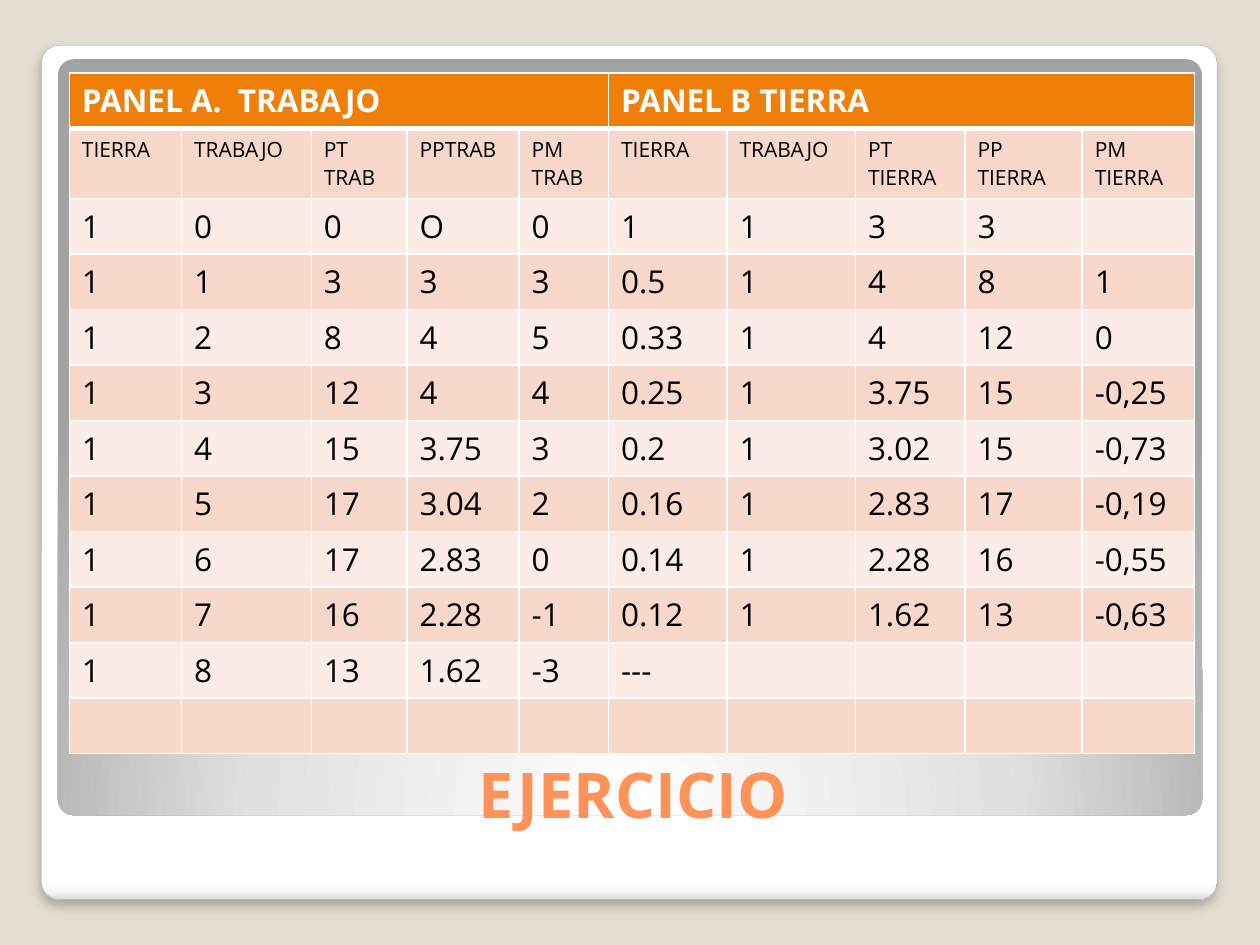
from lxml import etree
from pptx import Presentation
from pptx.dml.color import RGBColor
from pptx.enum.shapes import MSO_SHAPE
from pptx.enum.text import MSO_ANCHOR, MSO_AUTO_SIZE, PP_ALIGN
from pptx.oxml import parse_xml
from pptx.oxml.ns import qn
from pptx.util import Pt

ROUND_RECT = MSO_SHAPE.ROUNDED_RECTANGLE
BOTTOM, CENTER, NO_FIT = MSO_ANCHOR.BOTTOM, PP_ALIGN.CENTER, MSO_AUTO_SIZE.NONE
NS = 'xmlns:a="http://schemas.openxmlformats.org/drawingml/2006/main"'
FONT = "Open Sans"

BEIGE = RGBColor(0xE3, 0xDE, 0xD1)
GREY = RGBColor(0xA4, 0xA4, 0xA4)
WHITE = RGBColor(0xFF, 0xFF, 0xFF)
BLACK = RGBColor(0x00, 0x00, 0x00)
CORAL = RGBColor(0xFF, 0x92, 0x58)
ORANGE = RGBColor(0xF0, 0x7F, 0x09)
PINK = RGBColor(0xF9, 0xD8, 0xCC)
PALE_PINK = RGBColor(0xFC, 0xEC, 0xE7)

HEADINGS = ["TIERRA", "TRABAJO", "PT TRAB", "PPTRAB", "PM TRAB",
            "TIERRA", "TRABAJO", "PT TIERRA", "PP TIERRA", "PM TIERRA"]
ROWS = [
    ["PANEL A.  TRABAJO", "", "", "", "", "PANEL B TIERRA", "", "", "", ""],
    HEADINGS,
    ["1", "0", "0", "O", "0", "1", "1", "3", "3", ""],
    ["1", "1", "3", "3", "3", "0.5", "1", "4", "8", "1"],
    ["1", "2", "8", "4", "5", "0.33", "1", "4", "12", "0"],
    ["1", "3", "12", "4", "4", "0.25", "1", "3.75", "15", "-0,25"],
    ["1", "4", "15", "3.75", "3", "0.2", "1", "3.02", "15", "-0,73"],
    ["1", "5", "17", "3.04", "2", "0.16", "1", "2.83", "17", "-0,19"],
    ["1", "6", "17", "2.83", "0", "0.14", "1", "2.28", "16", "-0,55"],
    ["1", "7", "16", "2.28", "-1", "0.12", "1", "1.62", "13", "-0,63"],
    ["1", "8", "13", "1.62", "-3", "---", "", "", "", ""],
    [""] * 10,
]
COL_WIDTHS = [64.1, 74.2, 54.7, 64.1, 51.1, 67.7, 73.4, 62.6, 67, 64.1]
ROW_HEIGHT = 29.76
LAST_ROW_HEIGHT = 31.75


def add_panel(shapes, left, top, width, height, stops, direction):
    """Add a rounded panel with a gradient fill and no line."""
    sp = shapes.add_shape(ROUND_RECT, Pt(left), Pt(top), Pt(width), Pt(height))
    sp.adjustments[0] = 0.021
    sp.shadow.inherit = False
    sp.line.fill.background()
    sp.fill.background()
    marks = "".join(f'<a:gs pos="{pos * 1000}"><a:srgbClr val="{color}"/></a:gs>'
                    for pos, color in stops)
    sp_pr = sp.element.spPr
    sp_pr.replace(sp_pr.find(qn("a:noFill")), parse_xml(
        f'<a:gradFill {NS} rotWithShape="1"><a:gsLst>{marks}</a:gsLst>{direction}</a:gradFill>'))
    return sp


def set_borders(cell, top, bottom):
    """Draw white lines round a cell; top and bottom are widths in points."""
    tc_pr = cell._tc.get_or_add_tcPr()
    for i, (side, width) in enumerate([("L", 1), ("R", 1), ("T", top), ("B", bottom)]):
        tc_pr.insert(i, parse_xml(
            f'<a:ln{side} {NS} w="{Pt(width)}"><a:solidFill>'
            f'<a:srgbClr val="{WHITE}"/></a:solidFill></a:ln{side}>'))


prs = Presentation()
prs.slide_width, prs.slide_height = Pt(720), Pt(540)
s = prs.slides.add_slide(prs.slide_layouts[5])
s.background.fill.solid()
s.background.fill.fore_color.rgb = BEIGE

# White card with a soft shadow
card = add_panel(s.shapes, 23.76, 25.92, 671.76, 488.16,
                 [(0, "FFFFFF"), (98, "FFFFFF"), (99, "F7F7F7"), (100, "DADADA")],
                 '<a:lin ang="5400000" scaled="0"/>')
card.line.color.rgb = GREY
card.line.width = Pt(0.16)
shadow = etree.SubElement(card.element.spPr.find(qn("a:effectLst")), qn("a:outerShdw"),
                          blurRad=str(Pt(6)), dist=str(Pt(4)), dir="5400000",
                          algn="t", rotWithShape="0")
shadow_color = etree.SubElement(shadow, qn("a:srgbClr"), val=str(BLACK))
etree.SubElement(shadow_color, qn("a:alpha"), val="25000")

# Grey inner panel
add_panel(s.shapes, 33.12, 33.84, 653.76, 432,
          [(0, "FFFFFF"), (55, "E1E1E1"), (100, "A2A2A2")],
          '<a:path path="circle">'
          '<a:fillToRect l="50000" t="175000" r="50000" b="-75000"/></a:path>')

# Title, brought in front of the panels
title = s.shapes.title
title.element.getparent().append(title.element)
title.left, title.top, title.width, title.height = Pt(39.6), Pt(392.4), Pt(644.4), Pt(82.8)
tf = title.text_frame
tf.auto_size = NO_FIT
tf.vertical_anchor = BOTTOM
tf.margin_bottom = Pt(0)
p = tf.paragraphs[0]
p.alignment = CENTER
r = p.add_run()
r.text = "EJERCICIO"
r.font.name, r.font.size, r.font.bold = FONT, Pt(36), True
r.font.color.rgb = CORAL

# Table
table = s.shapes.add_table(len(ROWS), len(COL_WIDTHS), Pt(39.6), Pt(41.76),
                           Pt(sum(COL_WIDTHS)), Pt(ROW_HEIGHT * len(ROWS))).table
for column, width in zip(table.columns, COL_WIDTHS):
    column.width = Pt(width)
for row in table.rows:
    row.height = Pt(ROW_HEIGHT)
table.rows[len(ROWS) - 1].height = Pt(LAST_ROW_HEIGHT)
for first in (0, 5):
    table.cell(0, first).merge(table.cell(0, first + 4))

for i, values in enumerate(ROWS):
    is_header = i == 0
    band = ORANGE if is_header else PINK if i % 2 else PALE_PINK
    for j, value in enumerate(values):
        cell = table.cell(i, j)
        cell.fill.solid()
        cell.fill.fore_color.rgb = band
        set_borders(cell, 3 if i == 1 else 1, 3 if is_header else 1)
        if value:
            r = cell.text_frame.paragraphs[0].add_run()
            r.text = value
            r.font.name = FONT
            r.font.size = Pt(12 if i == 1 else 18)
            r.font.bold = is_header
            r.font.color.rgb = WHITE if is_header else BLACK

prs.save("out.pptx")
